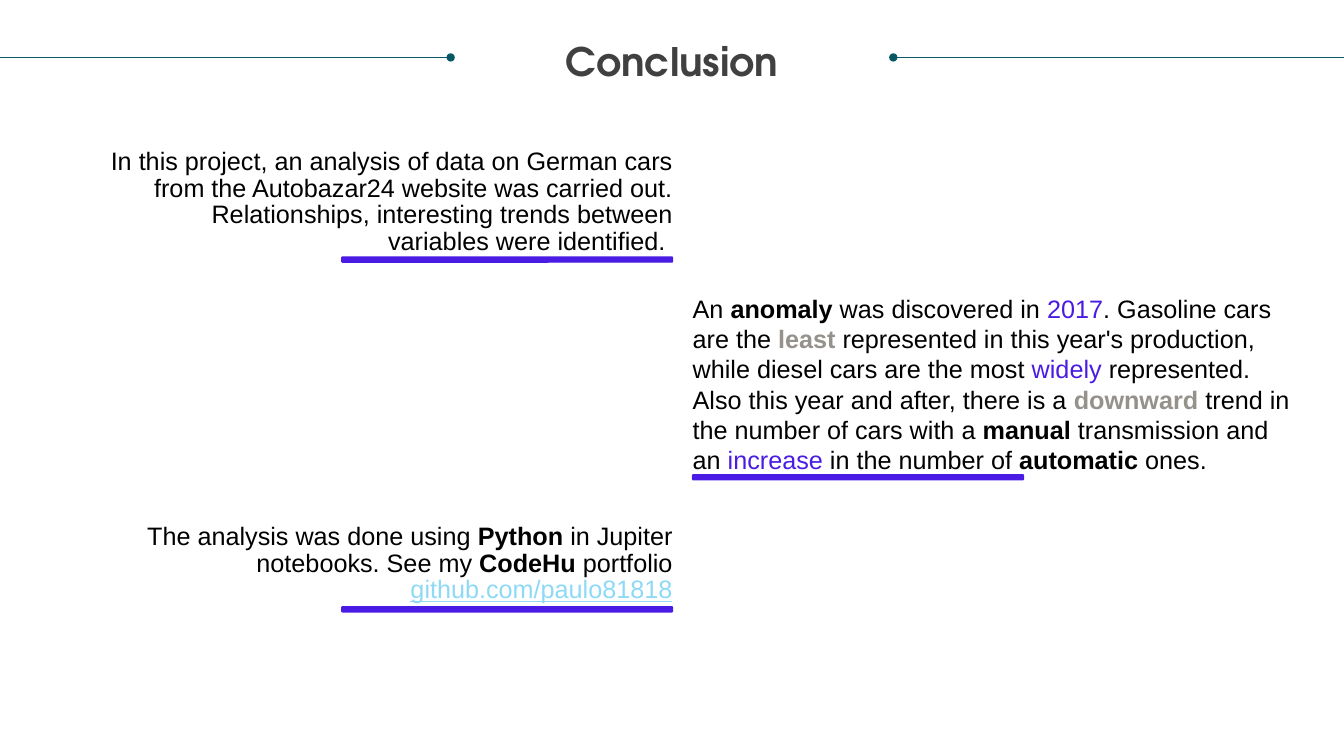
from lxml import etree
from pptx import Presentation
from pptx.dml.color import RGBColor
from pptx.enum import shapes, text
from pptx.oxml import ns
from pptx.util import Inches, Pt

THEME = {
    "title": "404040", "body": "000000", "accent": "4A1BE4", "muted": "95928C",
    "link": "8ED9F6", "rule": "085764",
    "title_font": "TeX Gyre Adventor", "body_font": "Arial",
    "title_size": 28, "body_size": 18,
}
RIGHT, LEFT, CENTER = text.PP_ALIGN.RIGHT, text.PP_ALIGN.LEFT, text.PP_ALIGN.CENTER

# Content: paragraphs are lists of (words, style)
TITLE = [[("Conclusion", "title")]]
PROJECT = [
    [("In this project, an analysis of data on German cars from the "
      "Autobazar24 website was carried out.", "body")],
    [("Relationships, interesting trends between variables were identified. ", "body")],
]
ANOMALY = [[
    ("An ", "body"), ("anomaly", "strong"), (" was discovered in ", "body"),
    ("2017", "accent"), (". Gasoline cars are the ", "body"), ("least", "muted"),
    (" represented in this year's production, while diesel cars are the most ", "body"),
    ("widely", "accent"),
    (" represented. Also this year and after, there is a ", "body"),
    ("downward", "muted"), (" trend in the number of cars with a ", "body"),
    ("manual", "strong"), (" transmission and an ", "body"), ("increase", "accent"),
    (" in the number of ", "body"), ("automatic", "strong"), (" ones.", "body"),
]]
TOOLS = [
    [("The analysis was done using ", "body"), ("Python", "strong"),
     (" in Jupiter notebooks. See my ", "body"), ("CodeHu", "strong"),
     (" portfolio", "body")],
    [("github.com/paulo81818", "link")],
]
# style: (colour, bold, underline)
STYLES = {
    "title": ("title", True, False), "body": ("body", False, False),
    "strong": ("body", True, False), "accent": ("accent", False, False),
    "muted": ("muted", True, False), "link": ("link", False, True),
}

# Layout: findings sit either side of a central gutter
PAGE_WIDTH, PAGE_HEIGHT = 13.33, 7.5
LEFT_EDGE, RIGHT_EDGE = 6.67, 6.87
BAR_WIDTH, BAR_HEIGHT = 3.28, 0.05
RULE_LENGTH, RULE_TOP = 4.47, 0.57
# paragraphs, align, top, width, height, line spacing, bar top
FINDINGS = [
    (PROJECT, RIGHT, 1.48, 5.59, 1.07, Pt(19), 2.55),
    (ANOMALY, LEFT, 2.91, 5.98, 1.8, 1.0, 4.71),
    (TOOLS, RIGHT, 5.2, 5.98, 0.8, Pt(19), 6.02),
]

deck = Presentation()
deck.slide_width, deck.slide_height = Inches(PAGE_WIDTH), Inches(PAGE_HEIGHT)
page = deck.slides.add_slide(deck.slide_layouts[6])


def color(name):
    return RGBColor.from_string(THEME[name])


def add_text(paragraphs, left, top, width, height, align=LEFT, spacing=1.0,
             font="body_font", size="body_size"):
    box = page.shapes.add_textbox(*map(Inches, (left, top, width, height)))
    frame = box.text_frame
    frame.word_wrap = True
    frame.margin_left = frame.margin_right = frame.margin_top = frame.margin_bottom = 0
    for index, spans in enumerate(paragraphs):
        para = frame.add_paragraph() if index else frame.paragraphs[0]
        para.alignment, para.line_spacing = align, spacing
        for words, style in spans:
            span = para.add_run()
            span.text = words
            tint, bold, underline = STYLES[style]
            span.font.name, span.font.size = THEME[font], Pt(THEME[size])
            span.font.bold, span.font.underline = bold, underline
            span.font.color.rgb = color(tint)


def add_rule(start, end):
    rule = page.shapes.add_connector(
        shapes.MSO_CONNECTOR.STRAIGHT,
        *map(Inches, (start, RULE_TOP, end, RULE_TOP)))
    rule.line.color.rgb = color("rule")
    rule.line.width = Pt(0.5)
    outline = rule._element.spPr.find(ns.qn("a:ln"))
    etree.SubElement(outline, ns.qn("a:tailEnd"), type="oval")
    etree.SubElement(rule._element.spPr, ns.qn("a:effectLst"))


def add_bar(left, top):
    bar = page.shapes.add_shape(
        shapes.MSO_SHAPE.FLOWCHART_ALTERNATE_PROCESS,
        *map(Inches, (left, top, BAR_WIDTH, BAR_HEIGHT)))
    bar.shadow.inherit = False
    bar.fill.solid()
    bar.fill.fore_color.rgb = color("accent")
    bar.line.color.rgb = color("accent")
    bar.line.width = Pt(1)


# Heading with a dotted rule on each side
add_rule(0, RULE_LENGTH)
add_rule(PAGE_WIDTH, PAGE_WIDTH - RULE_LENGTH)
add_text(TITLE, 0.25, 0.21, 12.83, 1.2, align=CENTER, spacing=1.35,
         font="title_font", size="title_size")

# Findings, each underlined by a bar
for paragraphs, align, top, width, height, spacing, bar_top in FINDINGS:
    on_left = align == RIGHT
    add_text(paragraphs, LEFT_EDGE - width if on_left else RIGHT_EDGE,
             top, width, height, align=align, spacing=spacing)
    add_bar(LEFT_EDGE - BAR_WIDTH if on_left else RIGHT_EDGE, bar_top)

deck.save("out.pptx")
